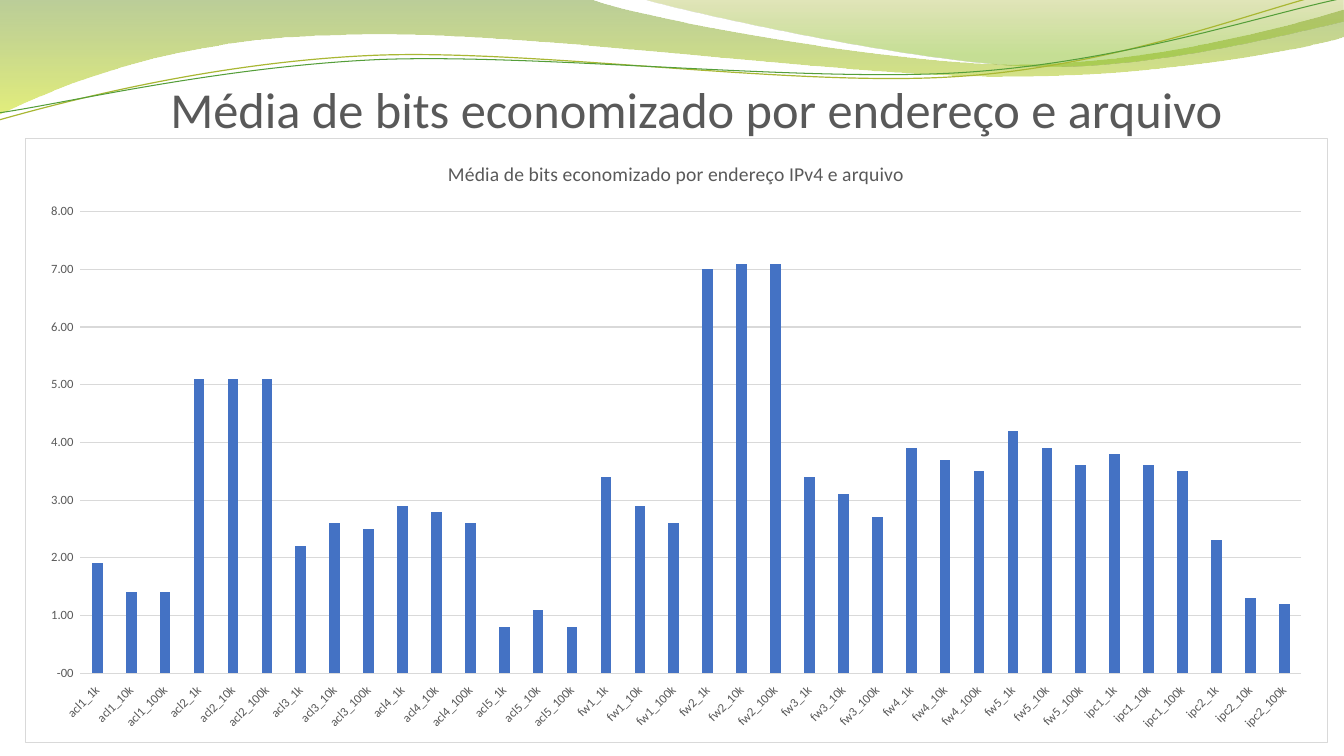
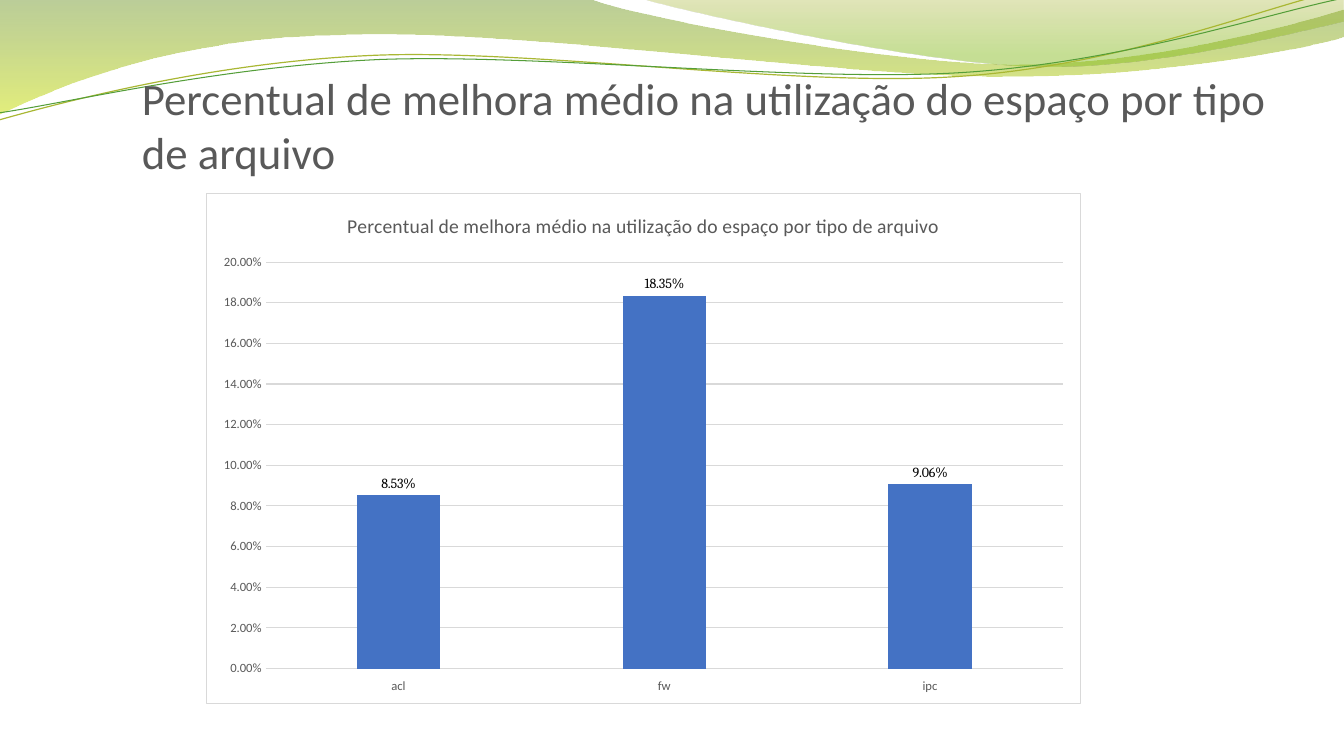
from lxml import etree
from pptx import Presentation
from pptx.chart import data
from pptx.dml.color import RGBColor
from pptx.enum import chart as ch, text
from pptx.oxml import ns, parse_xml
from pptx.util import Pt

WHITE = RGBColor(0xFF, 0xFF, 0xFF)
BLACK = RGBColor(0, 0, 0)
GREY = RGBColor(0x59, 0x59, 0x59)
RULE = RGBColor(0xD9, 0xD9, 0xD9)
BLUE = RGBColor(0x44, 0x72, 0xC4)
MOSS = RGBColor(0x69, 0x92, 0x1C)
LIME = RGBColor(0xCC, 0xE1, 0x0F)
OLIVE = RGBColor(0x9B, 0xAA, 0x1A)
LEAF = RGBColor(0x81, 0xBA, 0x16)
GOLD = RGBColor(0xA9, 0xB7, 0x33)
GREEN = RGBColor(0x54, 0x9E, 0x39)
SANS, SERIF = "Calibri", "Cambria"

# Header curves: a start point, then lines (2 numbers) or Bezier arcs (6)
# Bands carry gradient stops: position, colour, opacity in percent
BANDS = [
    ([(-1.4, 0), (422.6, -0.2),
      (456.5, 12.8, 636.5, 46, 727.9, 46),
      (818.6, 46, 919.4, 19.3, 959.8, 7.1), (960.5, 26.5),
      (943.9, 32.3, 834.5, 55.3, 715.7, 54.6),
      (596.9, 54.6, 366.5, 20.8, 247, 25.1),
      (123.8, 26.5, 43.9, 60.4, -1.4, 82)],
     [(0, MOSS, 45), (1, LIME, 55)]),
    ([(459.4, -0.2),
      (488.9, 8.5, 654.5, 45.2, 738, 47.4),
      (820.8, 50.3, 923, 23.6, 959.8, 15.7), (959.8, 0)],
     [(0, OLIVE, 30), (0.8, LEAF, 45)]),
]
LINES = [
    ([(-0.7, 85.7),
      (45.4, 72.7, 151.2, 44.6, 265.7, 39.6),
      (379.4, 34.6, 568.1, 62.6, 683.3, 54.7),
      (799.2, 47.5, 900.7, 5.8, 957.6, -7.2)], GOLD, 0.85),
    ([(-0.7, 80.6),
      (44.6, 74.2, 157, 47.5, 271.4, 42.5),
      (386.6, 38.2, 573.1, 59, 687.6, 51.8),
      (802.1, 44.6, 903.6, 10.1, 959.8, -1.4)], GREEN, 0.75),
]

# Chart values
KINDS = [("acl", 5), ("fw", 5), ("ipc", 2)]
FILES = [f"{kind}{n}_{size}" for kind, count in KINDS
         for n in range(1, count + 1) for size in ("1k", "10k", "100k")]
BITS = [1.9, 1.4, 1.4, 5.1, 5.1, 5.1, 2.2, 2.6, 2.5, 2.9, 2.8, 2.6,
        0.8, 1.1, 0.8, 3.4, 2.9, 2.6, 7, 7.1, 7.1, 3.4, 3.1, 2.7,
        3.9, 3.7, 3.5, 4.2, 3.9, 3.6, 3.8, 3.6, 3.5, 2.3, 1.3, 1.2]
GAINS = [0.0853, 0.1835, 0.0906]
NUMBER = '#,##0.00" ";"-"#,##0.00" ";"-"00" ";@" "'
SHARE = "0.00%"


def add_curve(slide, path, close):
    """Join the end points, then bend the segments that are arcs."""
    ends = [(Pt(part[-2]), Pt(part[-1])) for part in path]
    pen = slide.shapes.build_freeform(*ends[0], scale=1.0)
    pen.add_line_segments(ends[1:], close=close)
    shape = pen.convert_to_shape()
    shape.shadow.inherit = False
    segs = list(shape._element.spPr.iter(ns.qn("a:lnTo")))
    for seg, part in zip(segs, path[1:]):
        if len(part) == 6:
            arc = etree.Element(ns.qn("a:cubicBezTo"))
            for x, y in zip(part[::2], part[1::2]):
                etree.SubElement(arc, ns.qn("a:pt"),
                                 x=str(Pt(x) - shape.left),
                                 y=str(Pt(y) - shape.top))
            seg.getparent().replace(seg, arc)
    return shape


def add_waves(slide):
    for path, stops in BANDS:
        band = add_curve(slide, path, True)
        band.line.fill.background()
        band.fill.gradient()
        band.fill.gradient_angle = 270
        for stop, (pos, color, alpha) in zip(band.fill.gradient_stops, stops):
            stop.position = pos
            stop.color.rgb = color
        tags = band._element.spPr.iter(ns.qn("a:srgbClr"))
        for tag, (pos, color, alpha) in zip(tags, stops):
            etree.SubElement(tag, ns.qn("a:alpha"), val=str(alpha * 1000))
    for path, color, width in LINES:
        line = add_curve(slide, path, False)
        line.fill.background()
        line.line.color.rgb = color
        line.line.width = Pt(width)


def set_font(font, size, color, name):
    font.size, font.name, font.bold = Pt(size), name, False
    font.color.rgb = color


def add_title(slide, box, words, size, align):
    frame = slide.shapes.add_textbox(*map(Pt, box)).text_frame
    frame.word_wrap = True
    frame.vertical_anchor = text.MSO_ANCHOR.BOTTOM
    frame.margin_left = frame.margin_right = frame.margin_bottom = 0
    frame.margin_top = Pt(3.6)
    para = frame.paragraphs[0]
    para.alignment = align
    run = para.add_run()
    run.text = words
    set_font(run.font, size, GREY, SANS)


def add_bars(slide, box, words, cats, vals, form, top, unit,
             turn=0, labels=False):
    info = data.CategoryChartData(number_format=form)
    info.categories = cats
    info.add_series("Series 1", vals)
    chart = slide.shapes.add_chart(
        ch.XL_CHART_TYPE.COLUMN_CLUSTERED, *map(Pt, box), info).chart
    set_font(chart.font, 10, BLACK, SERIF)
    chart.has_legend = False

    # Frame
    chart._chartSpace.find(ns.qn("c:chart")).addnext(parse_xml(
        f'<c:spPr {ns.nsdecls("c", "a")}>'
        f'<a:solidFill><a:srgbClr val="{WHITE}"/></a:solidFill>'
        f'<a:ln w="{Pt(0.75)}"><a:solidFill><a:srgbClr val="{RULE}"/>'
        '</a:solidFill></a:ln></c:spPr>'))

    # Title
    chart.has_title = True
    run = chart.chart_title.text_frame.paragraphs[0].add_run()
    run.text = words
    set_font(run.font, 14, GREY, SANS)
    chart.chart_title.include_in_layout = False

    # Axes
    cat, val = chart.category_axis, chart.value_axis
    for axis in (cat, val):
        axis.major_tick_mark = axis.minor_tick_mark = ch.XL_TICK_MARK.NONE
        set_font(axis.tick_labels.font, 9, GREY, SANS)
    cat.tick_label_position = ch.XL_TICK_LABEL_POSITION.LOW
    cat.format.line.color.rgb = RULE
    cat.format.line.width = Pt(0.75)
    body = cat._element.find(ns.qn("c:txPr")).find(ns.qn("a:bodyPr"))
    body.set("rot", str(turn * 60000))
    val.minimum_scale, val.maximum_scale, val.major_unit = 0, top, unit
    val.format.line.fill.background()
    val.major_gridlines.format.line.color.rgb = RULE
    val.major_gridlines.format.line.width = Pt(0.75)
    val.tick_labels.number_format = form
    val.tick_labels.number_format_is_linked = False

    # Bars
    plot = chart.plots[0]
    plot.vary_by_categories = False
    plot.gap_width, plot.overlap = 219, -27
    fill = plot.series[0].format.fill
    fill.solid()
    fill.fore_color.rgb = BLUE
    if labels:
        marks = plot.series[0].data_labels
        marks.show_value = True
        marks.number_format = form
        marks.number_format_is_linked = False
        marks.position = ch.XL_LABEL_POSITION.OUTSIDE_END
        set_font(marks.font, 10, BLACK, SERIF)


def new_slide(deck):
    slide = deck.slides.add_slide(deck.slide_layouts[6])
    add_waves(slide)
    return slide


def bits_slide(deck):
    slide = new_slide(deck)
    add_title(slide, (84, 8.8, 827.3, 90),
              "Média de bits economizado por endereço e arquivo",
              36, text.PP_ALIGN.CENTER)
    add_bars(slide, (17.6, 98.9, 930.8, 431.8),
             "Média de bits economizado por endereço IPv4 e arquivo",
             FILES, BITS, NUMBER, 8, 1, turn=-45)


def gains_slide(deck):
    slide = new_slide(deck)
    words = ("Percentual de melhora médio na utilização do espaço "
             "por tipo de arquivo")
    add_title(slide, (101.4, 37.4, 827.3, 90), words, 32, text.PP_ALIGN.LEFT)
    add_bars(slide, (147.1, 137.6, 625, 365.2), words,
             [kind for kind, count in KINDS], GAINS, SHARE, 0.2, 0.02,
             labels=True)


def main():
    deck = Presentation()
    deck.slide_width, deck.slide_height = Pt(960), Pt(540)
    bits_slide(deck)
    gains_slide(deck)
    deck.save("out.pptx")


if __name__ == "__main__":
    main()
